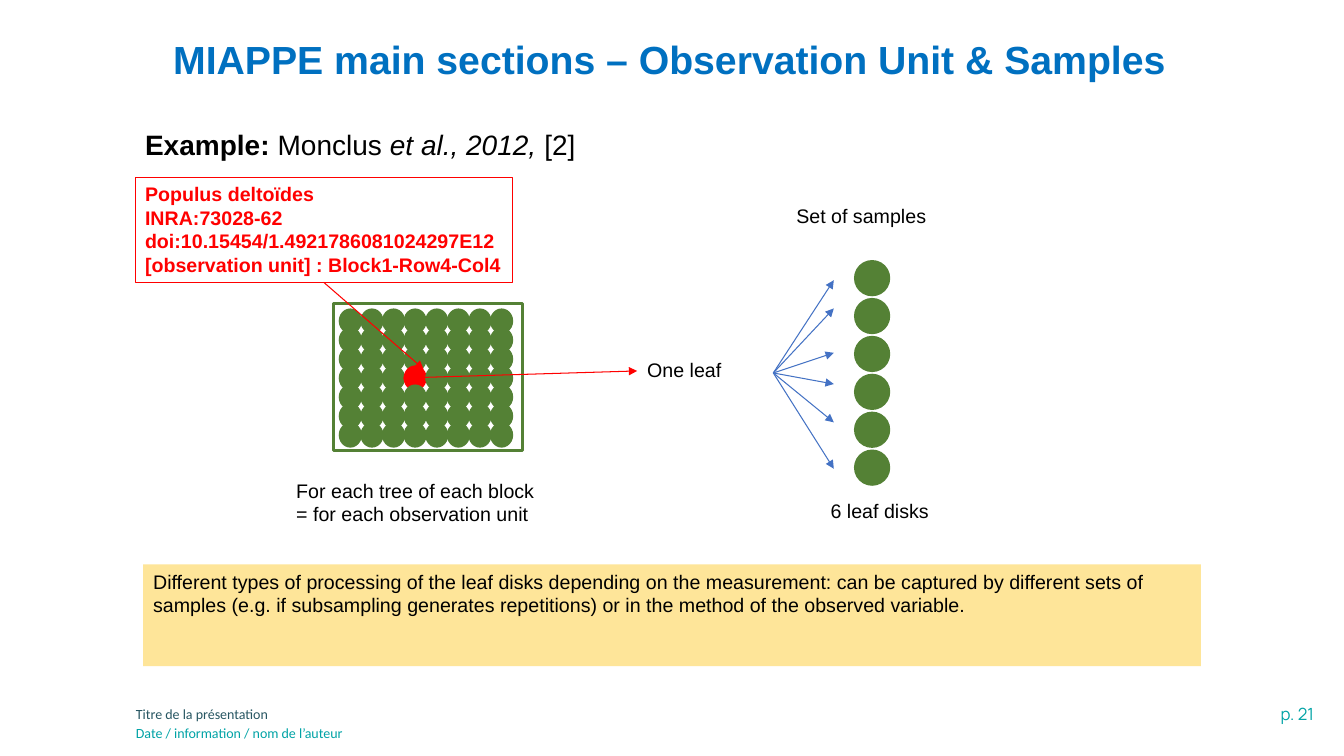
"""Build the MIAPPE slide on observation units and samples."""
from lxml import etree
from pptx import Presentation
from pptx.dml.color import RGBColor
from pptx.enum.shapes import MSO_CONNECTOR, MSO_SHAPE
from pptx.enum.text import MSO_ANCHOR, PP_ALIGN
from pptx.oxml.ns import qn
from pptx.util import Inches, Pt

RECTANGLE, ELLIPSE = MSO_SHAPE.RECTANGLE, MSO_SHAPE.OVAL
STRAIGHT = MSO_CONNECTOR.STRAIGHT
TOP = MSO_ANCHOR.TOP
LEFT, RIGHT = PP_ALIGN.LEFT, PP_ALIGN.RIGHT

COLORS = {
    name: RGBColor.from_string(value)
    for name, value in {
        "white": "FFFFFF", "black": "000000", "title": "0070C0",
        "teal": "00A3A6", "slate": "275662", "green": "548135",
        "red": "FF0000", "blue": "4472C4", "yellow": "FEE599",
    }.items()
}

presentation = Presentation()
presentation.slide_width = Inches(13.33)
presentation.slide_height = Inches(7.5)
slide = presentation.slides.add_slide(presentation.slide_layouts[6])


def add_text(text, box, size=14, font="Arial", color="black", bold=False,
             align=LEFT, fill=None, line=None, more_runs=()):
    """Write lines of text in a plain, filled or outlined box."""
    position = [Inches(value) for value in box]
    if fill or line:
        shape = slide.shapes.add_shape(RECTANGLE, *position)
        shape.shadow.inherit = False
        shape.fill.background()
        shape.line.fill.background()
    else:
        shape = slide.shapes.add_textbox(*position)
    if fill:
        shape.fill.solid()
        shape.fill.fore_color.rgb = COLORS[fill]
    if line:
        shape.line.color.rgb = COLORS[line]
        shape.line.width = Pt(0.75)
    frame = shape.text_frame
    frame.word_wrap = True
    frame.vertical_anchor = TOP
    for index, content in enumerate(text.split("\n")):
        paragraph = frame.paragraphs[0] if index == 0 else frame.add_paragraph()
        paragraph.alignment = align
        for words, strong, italic in [(content, bold, False), *more_runs]:
            run = paragraph.add_run()
            run.text = words
            run.font.name = font
            run.font.size = Pt(size)
            run.font.bold = strong
            run.font.italic = italic
            run.font.color.rgb = COLORS[color]


def add_arrow(start, end, color):
    """Draw a thin straight arrow between two points."""
    points = [Inches(value) for value in (*start, *end)]
    arrow = slide.shapes.add_connector(STRAIGHT, *points)
    arrow.line.color.rgb = COLORS[color]
    arrow.line.width = Pt(0.75)
    line = arrow.line._get_or_add_ln()
    etree.SubElement(line, qn("a:tailEnd"), type="triangle")
    etree.SubElement(arrow._element.spPr, qn("a:effectLst"))


add_text("p. 21", (10.85, 6.93, 2.28, 0.3), size=12, font="Manrope",
         color="teal", align=RIGHT)
add_text("Titre de la présentation", (1.25, 6.95, 7.34, 0.28), size=10,
         font="Calibri", color="slate")
add_text("Date / information / nom de l’auteur", (1.25, 7.14, 7.34, 0.28),
         size=10, font="Calibri", color="teal")
add_text("MIAPPE main sections – Observation Unit & Samples",
         (1.62, 0.3, 10.2, 0.57), size=28, color="title", bold=True, fill="white")

block = slide.shapes.add_group_shape()
frame = block.shapes.add_shape(RECTANGLE, Inches(3.31), Inches(3.01),
                               Inches(1.87), Inches(1.46))
frame.shadow.inherit = False
frame.fill.background()
frame.line.color.rgb = COLORS["green"]
frame.line.width = Pt(2.25)

OBSERVED_TREE = (3, 3)
trees = [
    (block, 3.36 + column * 0.2143, 3.06 + row * 0.1885, 0.23, 0.25,
     "red" if (row, column) == OBSERVED_TREE else "green")
    for row in range(7) for column in range(8)
]
leaf_disks = [(slide, 8.47, 2.58 + row * 0.376, 0.36, 0.36, "green")
              for row in range(6)]
for parent, left, top, width, height, color in trees + leaf_disks:
    ellipse = parent.shapes.add_shape(ELLIPSE, Inches(left), Inches(top),
                                      Inches(width), Inches(height))
    ellipse.shadow.inherit = False
    ellipse.fill.solid()
    ellipse.fill.fore_color.rgb = COLORS[color]
    ellipse.line.fill.background()

add_text("Example: ", (1.34, 1.22, 9.74, 0.44), size=20, bold=True,
         more_runs=[("Monclus ", False, False), ("et al., 2012, ", False, True),
                    ("[2]", False, False)])
add_text("For each tree of each block\n= for each observation unit",
         (2.84, 4.7, 3.26, 0.71))
add_arrow((4, 3.75), (6.32, 3.68), "red")
add_text("One leaf", (6.32, 3.5, 1.35, 0.4))
for arrow_end in (2.78, 3.06, 3.5, 3.81, 4.19, 4.65):
    add_arrow((7.67, 3.7), (8.27, arrow_end), "blue")
add_text("6 leaf disks", (8.14, 4.9, 1.46, 0.4))
add_text("Set of samples", (7.8, 1.97, 1.87, 0.4))
add_text("Different types of processing of the leaf disks depending on the "
         "measurement: can be captured by different sets of samples (e.g. if "
         "subsampling generates repetitions) or in the method of the observed "
         "variable.", (1.42, 5.6, 10.49, 1.01), fill="yellow")
add_arrow((3.21, 2.8), (4.2, 3.66), "red")
add_text("Populus deltoïdes\nINRA:73028-62\ndoi:10.15454/1.4921786081024297E12\n"
         "[observation unit] : Block1-Row4-Col4", (1.34, 1.76, 3.74, 1.04),
         color="red", bold=True, line="red")

presentation.save("out.pptx")
